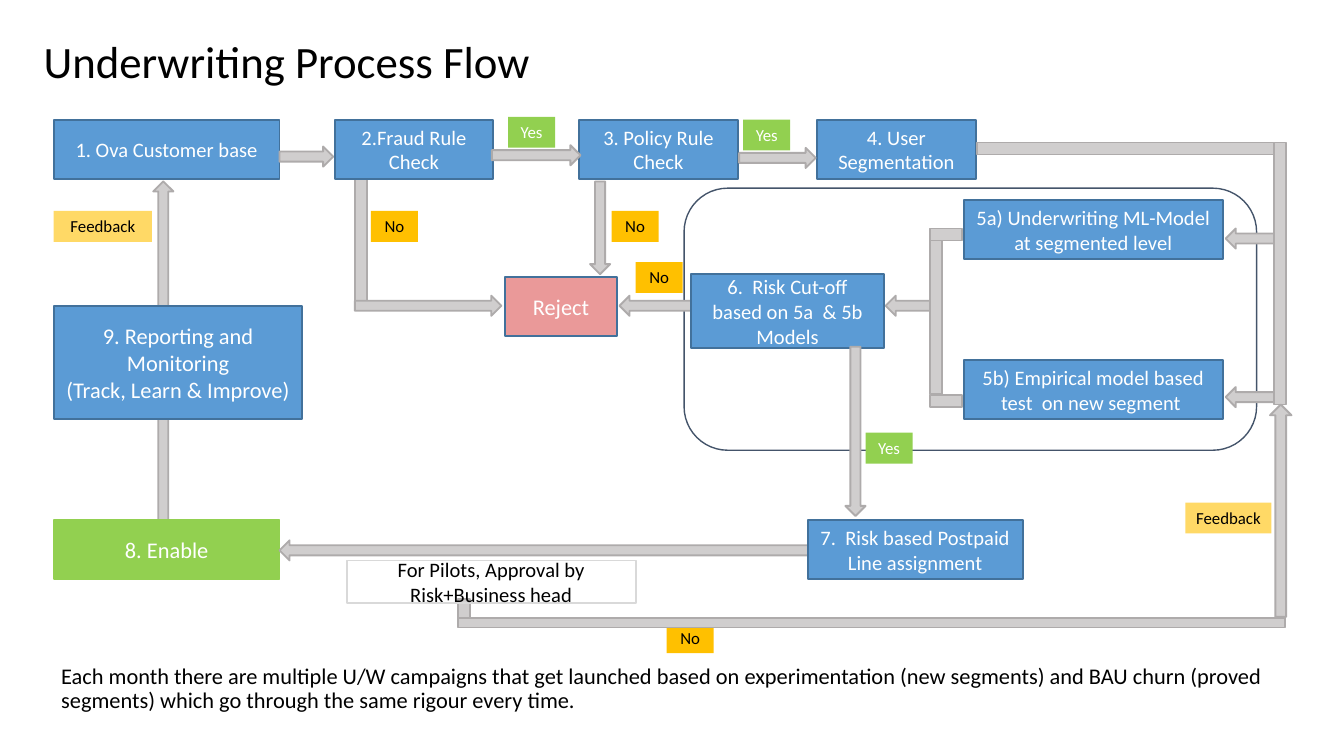
import collections

import pptx
import pptx.dml.color
import pptx.enum.shapes
import pptx.enum.text
import pptx.util

RGB = pptx.dml.color.RGBColor
SHAPE = pptx.enum.shapes.MSO_SHAPE
ALIGN = pptx.enum.text.PP_ALIGN
ANCHOR = pptx.enum.text.MSO_ANCHOR

PX = 9144  # EMU per px, 100 px to the inch
INSET = 15 * PX // 2  # side margin of text; half of it above and below
FONT = "Calibri"

BLACK = RGB(0x00, 0x00, 0x00)
WHITE = RGB(0xFF, 0xFF, 0xFF)
BLUE = RGB(0x5B, 0x9B, 0xD5)
BLUE_EDGE = RGB(0x42, 0x71, 0x9B)
SLATE = RGB(0x44, 0x54, 0x6A)
GREY = RGB(0xD0, 0xCE, 0xCE)
GREY_EDGE = RGB(0xAE, 0xAB, 0xAB)
PALE_EDGE = RGB(0xD9, 0xD9, 0xD9)
GREEN = RGB(0x92, 0xD0, 0x50)
PINK = RGB(0xEA, 0x99, 0x99)
AMBER = RGB(0xFF, 0xC0, 0x00)
YELLOW = RGB(0xFF, 0xD9, 0x66)

NODE_H = 44
BAR = 9      # thickness of a plain flow bar
ARROW = 15   # thickness of a flow arrow, head included
ARROWS = {"right": SHAPE.RIGHT_ARROW, "left": SHAPE.LEFT_ARROW,
          "up": SHAPE.UP_ARROW, "down": SHAPE.DOWN_ARROW}
LABELS = {"Yes": (GREEN, WHITE), "No": (AMBER, BLACK), "Feedback": (YELLOW, BLACK)}

Box = collections.namedtuple("Box", "left top width height")


def write(frame, text, size, color, align=ALIGN.CENTER, anchor=ANCHOR.MIDDLE, spacing=None):
    frame.word_wrap = True
    frame.auto_size = pptx.enum.text.MSO_AUTO_SIZE.NONE
    frame.vertical_anchor = anchor
    frame.margin_left = frame.margin_right = INSET
    frame.margin_top = frame.margin_bottom = INSET // 2
    frame.text = text
    for paragraph in frame.paragraphs:
        paragraph.alignment = align
        paragraph.line_spacing = spacing
        paragraph.font.name = FONT
        paragraph.font.size = pptx.util.Pt(size)
        paragraph.font.color.rgb = color


def draw(slide, box, kind, x, y, w, h, fill=None, edge=None, weight=1):
    """Add a shape at an offset from the corner of its region."""
    shape = slide.shapes.add_shape(
        kind, (box.left + x) * PX, (box.top + y) * PX, w * PX, h * PX)
    shape.shadow.inherit = False
    for part, color in ((shape.fill, fill), (shape.line.fill, edge)):
        if color is None:
            part.background()
        else:
            part.solid()
            part.fore_color.rgb = color
    if edge is not None:
        shape.line.width = pptx.util.Pt(weight)
    return shape


def node(slide, box, text, x, y, w, h=NODE_H, size=11, fill=BLUE, edge=BLUE_EDGE, color=WHITE):
    step = draw(slide, box, SHAPE.RECTANGLE, x, y, w, h, fill, edge)
    write(step.text_frame, text, size, color)


def bar(slide, box, x, y, w, h):
    draw(slide, box, SHAPE.RECTANGLE, x, y, w, h, GREY, GREY_EDGE)


def arrow(slide, box, way, x, y, length, thick=ARROW):
    w, h = (length, thick) if way in ("left", "right") else (thick, length)
    draw(slide, box, ARROWS[way], x, y, w, h, GREY, GREY_EDGE)


def label(slide, box, text, x, y, w=35):
    fill, color = LABELS[text]
    tag = draw(slide, box, SHAPE.RECTANGLE, x, y, w, 23, fill)
    write(tag.text_frame, text, 9, color, anchor=ANCHOR.TOP)


def heading(slide, box):
    title = slide.shapes.title
    title.left, title.top, title.width, title.height = (n * PX for n in box)
    write(title.text_frame, "Underwriting Process Flow", 24, BLACK, ALIGN.LEFT, spacing=0.9)


def models(slide, box):
    """Framed scoring models 5a and 5b feeding the risk cut-off."""
    draw(slide, box, SHAPE.FLOWCHART_ALTERNATE_PROCESS, 0, 0, box.width, box.height,
         edge=SLATE, weight=0.75)
    node(slide, box, "5a) Underwriting ML-Model at segmented level", 208, 9, 193)
    node(slide, box, "5b) Empirical model based test  on new segment ", 208, 128, 193)
    # Both models join on one bar
    arrow(slide, box, "left", 150, 80, 37)
    bar(slide, box, 183, 32, BAR, 121)
    for y in (30, 154):
        bar(slide, box, 183, y, 24, BAR)
    # Cut-off and its two outcomes
    arrow(slide, box, "left", -48, 80, 70)
    node(slide, box, "6.  Risk Cut-off based on 5a  & 5b Models", 5, 64, 144, 55)
    arrow(slide, box, "down", 120, 118, 126)
    label(slide, box, "No", -36, 55)
    label(slide, box, "Yes", 135, 182)


def screening(slide, box):
    """Top row of checks, with failures led down to the reject box."""
    bar(slide, box, 224, 43, BAR, 94)
    for text, x, w in (("1. Ova Customer base", 0, 168),
                       ("2.Fraud Rule Check", 209, 118),
                       ("3. Policy Rule Check", 391, 118),
                       ("4. User Segmentation", 568, 118)):
        node(slide, box, text, x, 0, w)
    for x, y, length in ((168, 20, 40), (326, 19, 66), (510, 21, 57)):
        arrow(slide, box, "right", x, y, length)
    label(slide, box, "Yes", 338, -2)
    label(slide, box, "Yes", 513, 0)
    # Rejection
    node(slide, box, "Reject", 336, 117, 83, size=12, fill=PINK)
    arrow(slide, box, "right", 224, 131, 109)
    arrow(slide, box, "down", 399, 46, 69)
    for x in (236, 415):
        label(slide, box, "No", x, 68)


def servicing(slide, box):
    """Line assignment, enabling, and reporting back to the customer base."""
    arrow(slide, box, "up", 74, 155, 112)
    arrow(slide, box, "up", 74, 0, 94)
    label(slide, box, "Feedback", 0, 22, 73)
    node(slide, box, "9. Reporting and Monitoring\n(Track, Learn & Improve)", 0, 93, 185, 84, 12)
    node(slide, box, "8. Enable", 0, 252, 168, size=12, fill=GREEN, edge=GREEN)
    arrow(slide, box, "left", 168, 267, 394)
    node(slide, box, "7.  Risk based Postpaid Line assignment", 561, 252, 160)


def feedback_loop(slide, box):
    """Right-hand trunk into the models, and the pilot loop back to it."""
    bar(slide, box, 469, 0, 228, BAR)
    for y in (64, 182):
        arrow(slide, box, "left", 654, y, 37)
    bar(slide, box, 690, 0, BAR, 195)
    # Pilot approval
    bar(slide, box, 83, 340, BAR, 20)
    label(slide, box, "No", 238, 357)
    bar(slide, box, 83, 354, 615, 7)
    arrow(slide, box, "up", 687, 195, 158, 16)
    label(slide, box, "Feedback", 624, 268, 64)
    node(slide, box, "For Pilots, Approval by Risk+Business head", 0, 311, 215, 32,
         fill=None, edge=PALE_EDGE, color=BLACK)


def footnote(slide, box):
    note = slide.shapes.add_textbox(*(n * PX for n in box))
    write(note.text_frame,
          "Each month there are multiple U/W campaigns that get launched based on "
          "experimentation (new segments) and BAU churn (proved segments) which go "
          "through the same rigour every time.",
          12, BLACK, ALIGN.LEFT, ANCHOR.TOP, 0.9)


def main():
    deck = pptx.Presentation()
    deck.slide_width = 1000 * PX
    deck.slide_height = deck.slide_width * 9 // 16
    slide = deck.slides.add_slide(deck.slide_layouts[5])
    heading(slide, Box(25, 15, 862, 65))
    models(slide, Box(509, 140, 426, 195))
    screening(slide, Box(40, 89, 686, 161))
    servicing(slide, Box(40, 135, 721, 296))
    feedback_loop(slide, Box(258, 106, 703, 380))
    footnote(slide, Box(38, 491, 912, 46))
    deck.save("out.pptx")


if __name__ == "__main__":
    main()
